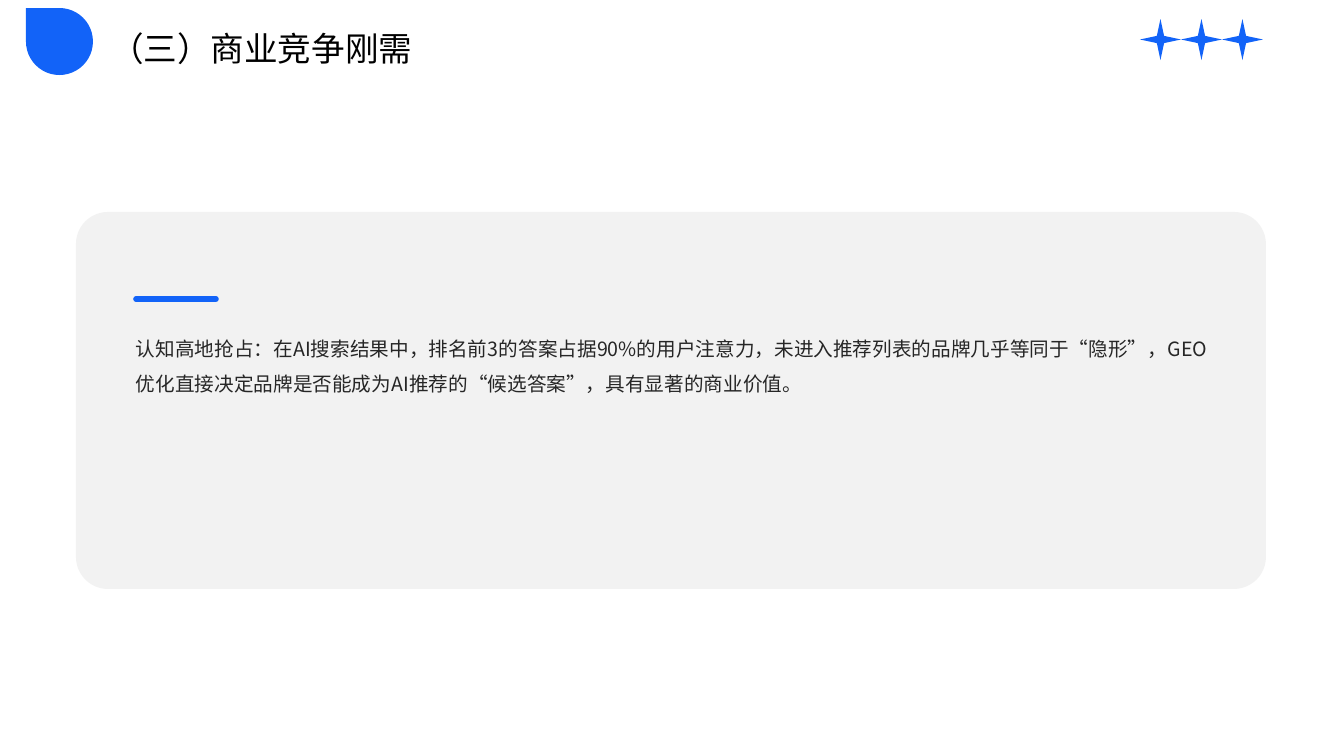
from lxml import etree
from pptx import Presentation
from pptx.dml.color import RGBColor
from pptx.enum.shapes import MSO_CONNECTOR, MSO_SHAPE
from pptx.enum.text import MSO_ANCHOR, MSO_AUTO_SIZE, PP_ALIGN
from pptx.oxml.ns import qn
from pptx.util import Pt

PX = 914400 / 100.8
SLIDE_WIDTH, SLIDE_HEIGHT = 1344, 756
TITLE_ONLY = 5
STRAIGHT = MSO_CONNECTOR.STRAIGHT
ROUNDED, TEARDROP, STAR = (
    MSO_SHAPE.ROUNDED_RECTANGLE, MSO_SHAPE.TEAR, MSO_SHAPE.STAR_4_POINT)
TOP, MIDDLE = MSO_ANCHOR.TOP, MSO_ANCHOR.MIDDLE
LEFT = PP_ALIGN.LEFT
NO_AUTOFIT = MSO_AUTO_SIZE.NONE


def px(*lengths):
    return [round(length * PX) for length in lengths]


def color(value):
    return RGBColor.from_string(value)


class SlideBuilder:
    font = "Noto Sans CJK SC"
    accent = "1263F8"
    panel = "F2F2F2"
    title_color = "000000"
    body_color = "262626"

    def __init__(self, slide):
        self.slide = slide

    def shape(self, kind, left, top, width, height, fill, rotation=0):
        shape = self.slide.shapes.add_shape(kind, *px(left, top, width, height))
        shape.shadow.inherit = False
        shape.fill.solid()
        shape.fill.fore_color.rgb = color(fill)
        shape.line.fill.background()
        shape.rotation = rotation
        return shape

    def line(self, x1, y1, x2, y2, stroke, points):
        line = self.slide.shapes.add_connector(STRAIGHT, *px(x1, y1, x2, y2))
        line.line.color.rgb = color(stroke)
        line.line.width = Pt(points)
        properties = line._element.spPr
        properties.find(qn("a:ln")).set("cap", "rnd")
        etree.SubElement(properties, qn("a:effectLst"))

    def set_text(self, box, text, size, text_color, spacing, anchor):
        frame = box.text_frame
        frame.word_wrap = True
        frame.auto_size = NO_AUTOFIT
        frame.vertical_anchor = anchor
        frame.margin_left = frame.margin_right = 0
        frame.margin_top = frame.margin_bottom = 0
        frame.text = text
        para = frame.paragraphs[0]
        para.alignment = LEFT
        para.line_spacing = spacing
        span = para.runs[0]
        span.font.size = Pt(size)
        span.font.name = self.font
        span.font.color.rgb = color(text_color)
        east_asian = etree.SubElement(span.font._element, qn("a:ea"))
        east_asian.set("typeface", self.font)

    def title(self, text, left, top, width, height):
        box = self.slide.shapes.title
        box.left, box.top, box.width, box.height = px(left, top, width, height)
        self.set_text(box, text, 24, self.title_color, 1.1, MIDDLE)

    def body(self, text, left, top, width, height):
        box = self.slide.shapes.add_textbox(*px(left, top, width, height))
        self.set_text(box, text, 14, self.body_color, 1.5, TOP)


def main():
    deck = Presentation()
    deck.slide_width, deck.slide_height = px(SLIDE_WIDTH, SLIDE_HEIGHT)
    page = SlideBuilder(deck.slides.add_slide(deck.slide_layouts[TITLE_ONLY]))

    # Content panel
    panel = page.shape(ROUNDED, 76, 212, 1190, 377, page.panel)
    panel.adjustments[0] = 0.085
    page.line(136, 299, 216, 299, page.accent, 4)
    page.body(
        "认知高地抢占：在AI搜索结果中，排名前3的答案占据90%的用户注意力，"
        "未进入推荐列表的品牌几乎等同于“隐形”，GEO优化直接决定品牌是否能"
        "成为AI推荐的“候选答案”，具有显著的商业价值。",
        136, 325, 1072, 218)

    # Header
    page.title("（三）商业竞争刚需", 110, 19, 858, 54)
    page.shape(TEARDROP, 26, 8, 67, 67, page.accent, rotation=270)
    star_size = 41
    for index in range(3):
        page.shape(STAR, 1140 + index * star_size, 19, star_size, star_size,
                   page.accent)

    deck.save("out.pptx")


if __name__ == "__main__":
    main()
